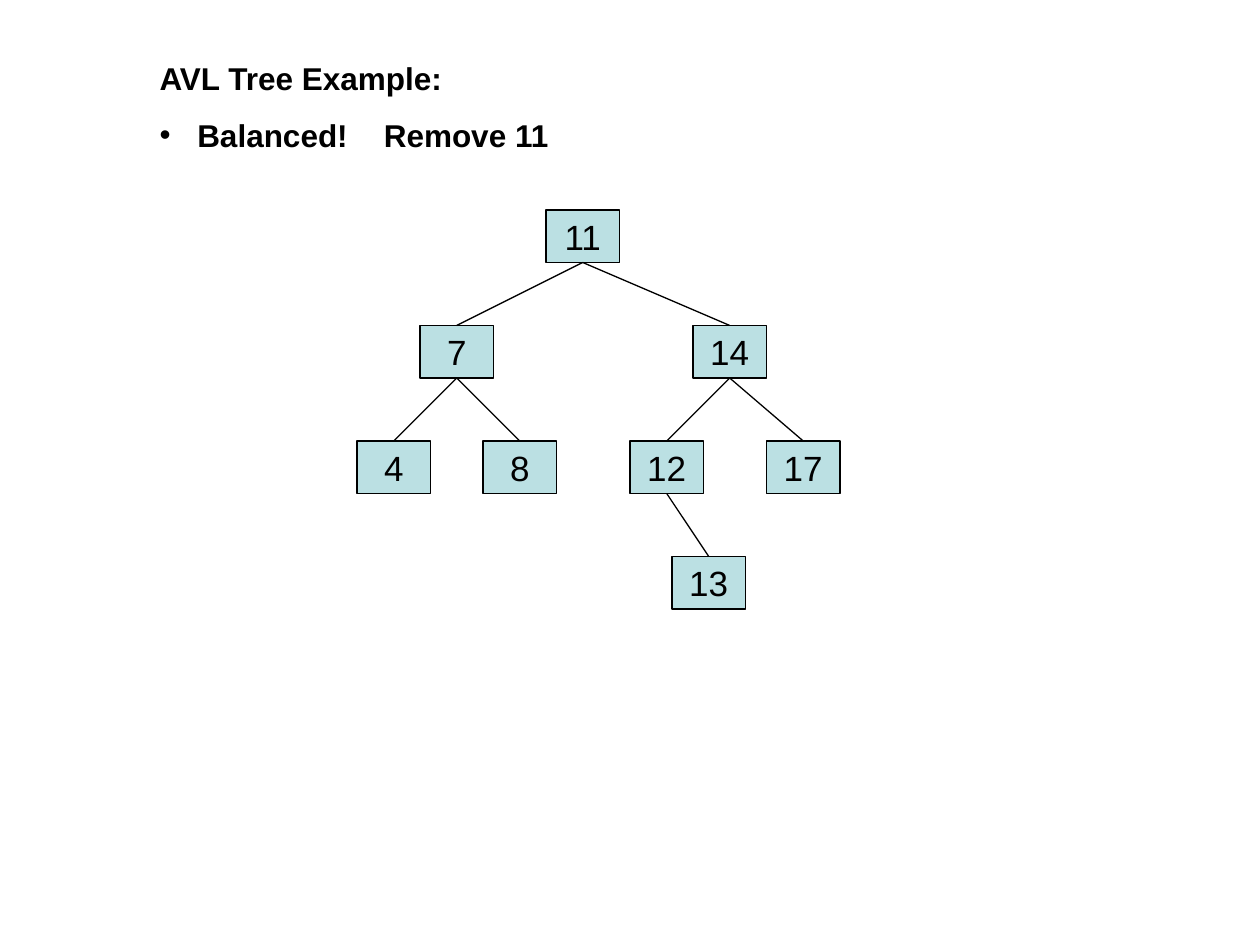
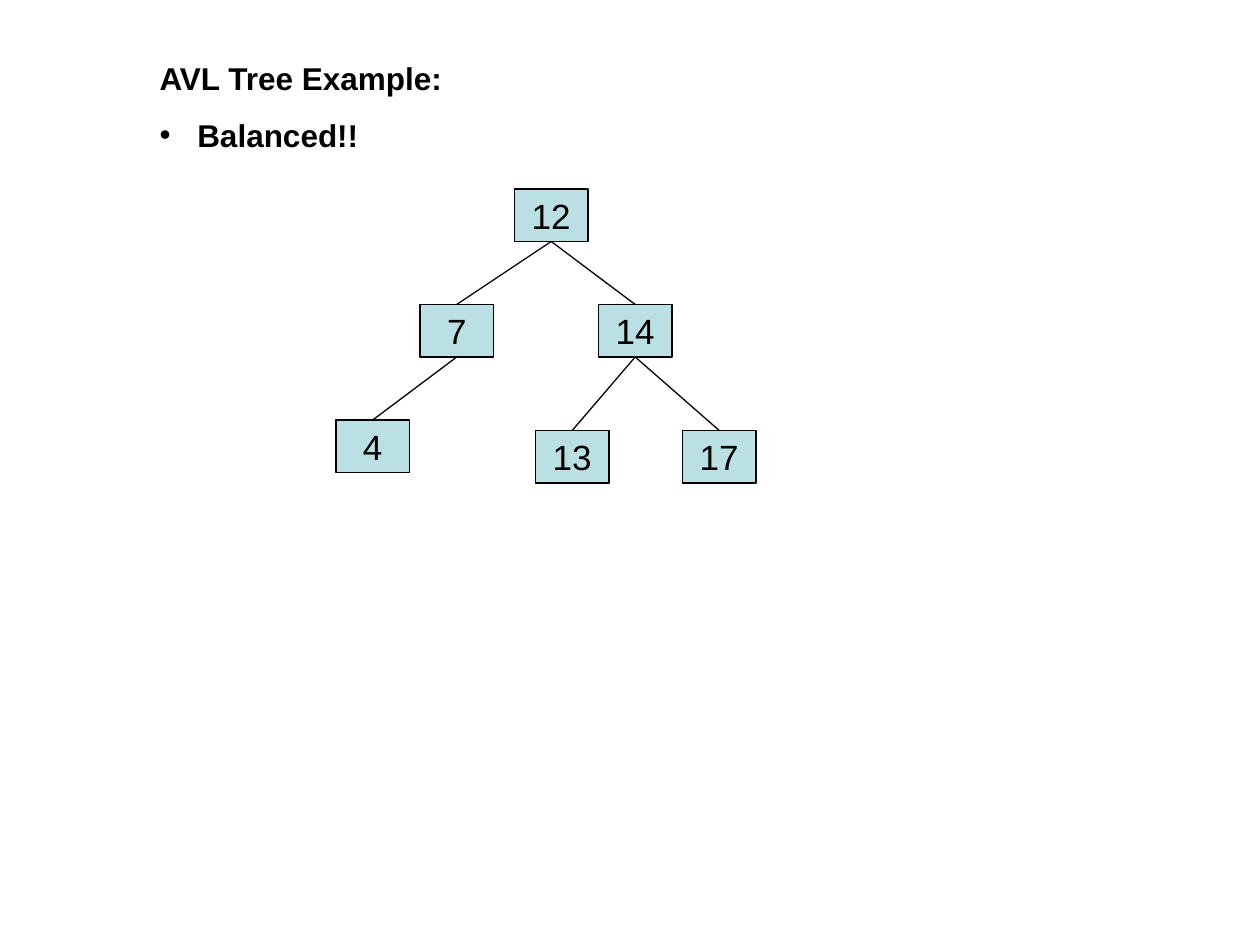
"""Build two slides that show an AVL tree before and after a removal."""
import pptx
import pptx.dml.color
import pptx.enum.shapes
import pptx.enum.text
import pptx.oxml
import pptx.oxml.ns
import pptx.util

GRID = pptx.util.Cm(2.54) // 12
BLACK = "000000"
NODE_FILL = "BBE0E3"
TITLE_ONLY = 5


def colour(hex_code):
    """Turn a hex string into a colour."""
    return pptx.dml.color.RGBColor.from_string(hex_code)


def write(paragraph, text, size=20, bold=False, align="LEFT", before=0):
    """Put formatted text into a paragraph."""
    paragraph.alignment = getattr(pptx.enum.text.PP_ALIGN, align)
    paragraph.space_before = pptx.util.Pt(before)
    run = paragraph.add_run()
    run.text = text
    run.font.name = "Arial"
    run.font.size = pptx.util.Pt(size)
    run.font.bold = bold
    run.font.color.rgb = colour(BLACK)


def add_bullet(paragraph, indent, tab_stop):
    """Give a paragraph a hanging bullet and one tab stop."""
    properties = paragraph._p.get_or_add_pPr()
    properties.set("marL", str(indent))
    properties.set("indent", str(-indent))
    namespace = pptx.oxml.ns.nsdecls("a")
    for markup in (
        f'<a:buClr {namespace}><a:srgbClr val="{BLACK}"/></a:buClr>',
        f'<a:buFont {namespace} typeface="Arial"/>',
        f'<a:buChar {namespace} char="•"/>',
        f'<a:tabLst {namespace}><a:tab pos="{tab_stop}" algn="l"/></a:tabLst>',
    ):
        properties.append(pptx.oxml.parse_xml(markup))


class TreeDeck:
    """Hold the shared style and the current slide."""

    node_width, node_height = 7 * GRID, 5 * GRID
    line_width = pptx.util.Pt(0.74)
    bottom_site, top_site = 2, 0

    def __init__(self):
        """Start an empty presentation."""
        self.presentation = pptx.Presentation()
        self.presentation.slide_width = pptx.util.Cm(25.4)
        self.presentation.slide_height = pptx.util.Cm(19.05)
        self.slide = None

    def heading(self, status, width):
        """Start a slide with its title and a bulleted status line."""
        layout = self.presentation.slide_layouts[TITLE_ONLY]
        self.slide = self.presentation.slides.add_slide(layout)
        title = self.slide.shapes.title
        title.left, title.top = 14 * GRID, 5 * GRID
        title.width, title.height = width * GRID, pptx.util.Cm(2.18)
        frame = title.text_frame
        frame.word_wrap = True
        frame.auto_size = pptx.enum.text.MSO_AUTO_SIZE.SHAPE_TO_FIT_TEXT
        frame.vertical_anchor = pptx.enum.text.MSO_ANCHOR.TOP
        style = dict(size=18, bold=True, before=11.2)
        write(frame.paragraphs[0], "AVL Tree Example:", **style)
        status_line = frame.add_paragraph()
        write(status_line, status, **style)
        add_bullet(status_line, pptx.util.Cm(0.76), pptx.util.Cm(4.52))

    def node(self, key, column, row):
        """Draw one tree node at a grid position."""
        box = self.slide.shapes.add_shape(
            pptx.enum.shapes.MSO_SHAPE.RECTANGLE,
            column * GRID, row * GRID, self.node_width, self.node_height)
        box.shadow.inherit = False
        box.fill.solid()
        box.fill.fore_color.rgb = colour(NODE_FILL)
        box.line.color.rgb = colour(BLACK)
        box.line.width = self.line_width
        box.text_frame.word_wrap = False
        box.text_frame.vertical_anchor = pptx.enum.text.MSO_ANCHOR.MIDDLE
        write(box.text_frame.paragraphs[0], str(key), align="CENTER")
        return box

    def edge(self, parent, child):
        """Join the bottom of a parent to the top of its child."""
        branch = self.slide.shapes.add_connector(
            pptx.enum.shapes.MSO_CONNECTOR.STRAIGHT, 0, 0, 0, 0)
        branch.begin_connect(parent, self.bottom_site)
        branch.end_connect(child, self.top_site)
        branch.line.color.rgb = colour(BLACK)
        branch.line.width = self.line_width
        branch._element.spPr.append(
            pptx.oxml.parse_xml(f'<a:effectLst {pptx.oxml.ns.nsdecls("a")}/>'))

    def tree(self, positions, children):
        """Draw all nodes of a tree and the edges between them."""
        nodes = {key: self.node(key, *place) for key, place in positions.items()}
        for parent, keys in children.items():
            for key in keys:
                self.edge(nodes[parent], nodes[key])


deck = TreeDeck()

deck.heading("Balanced!\tRemove 11", width=94)
levels = [20 + 11 * depth for depth in range(4)]
deck.tree(
    {11: (52, levels[0]),
     7: (40, levels[1]), 14: (66, levels[1]),
     4: (34, levels[2]), 8: (46, levels[2]),
     12: (60, levels[2]), 17: (73, levels[2]),
     13: (64, levels[3])},
    {11: (7, 14), 7: (4, 8), 14: (12, 17), 12: (13,)})

deck.heading("Balanced!!", width=101)
deck.tree(
    {12: (49, 18),
     7: (40, 29), 14: (57, 29),
     4: (32, 40), 13: (51, 41), 17: (65, 41)},
    {12: (7, 14), 7: (4,), 14: (13, 17)})

deck.presentation.save("out.pptx")
